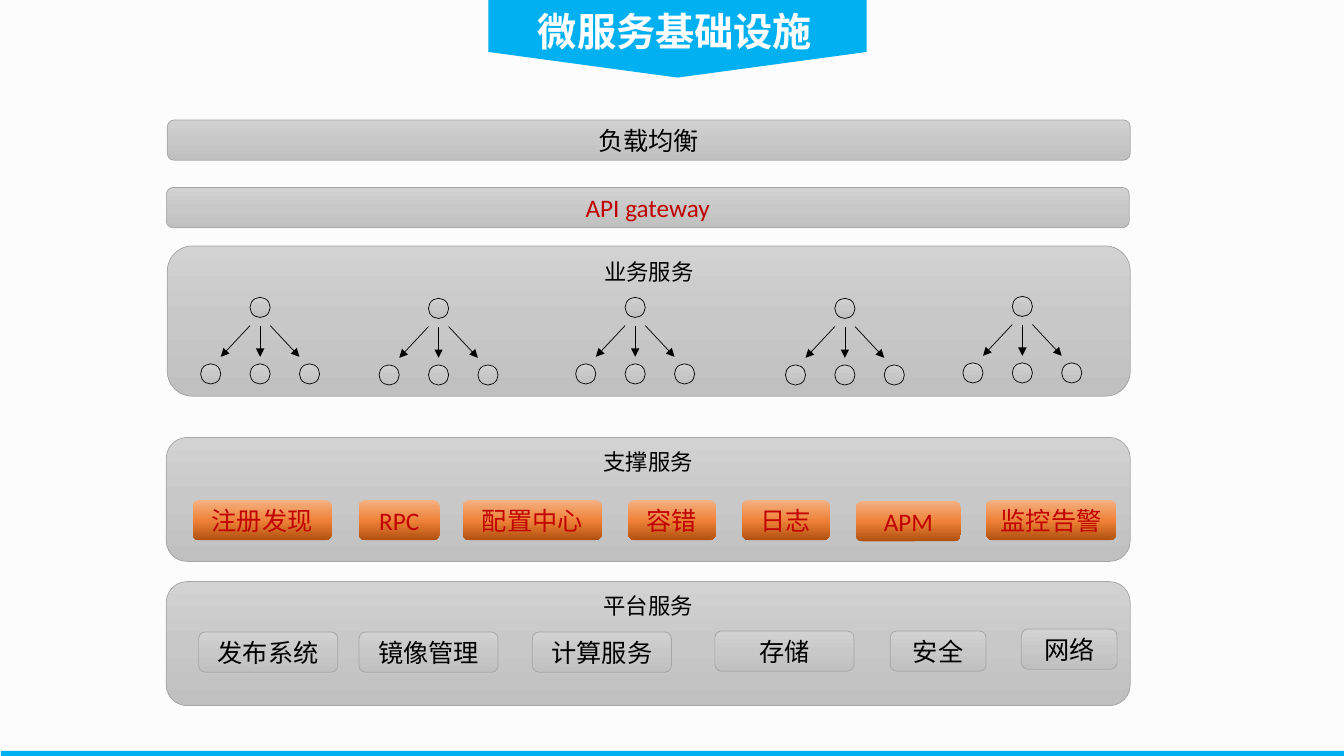
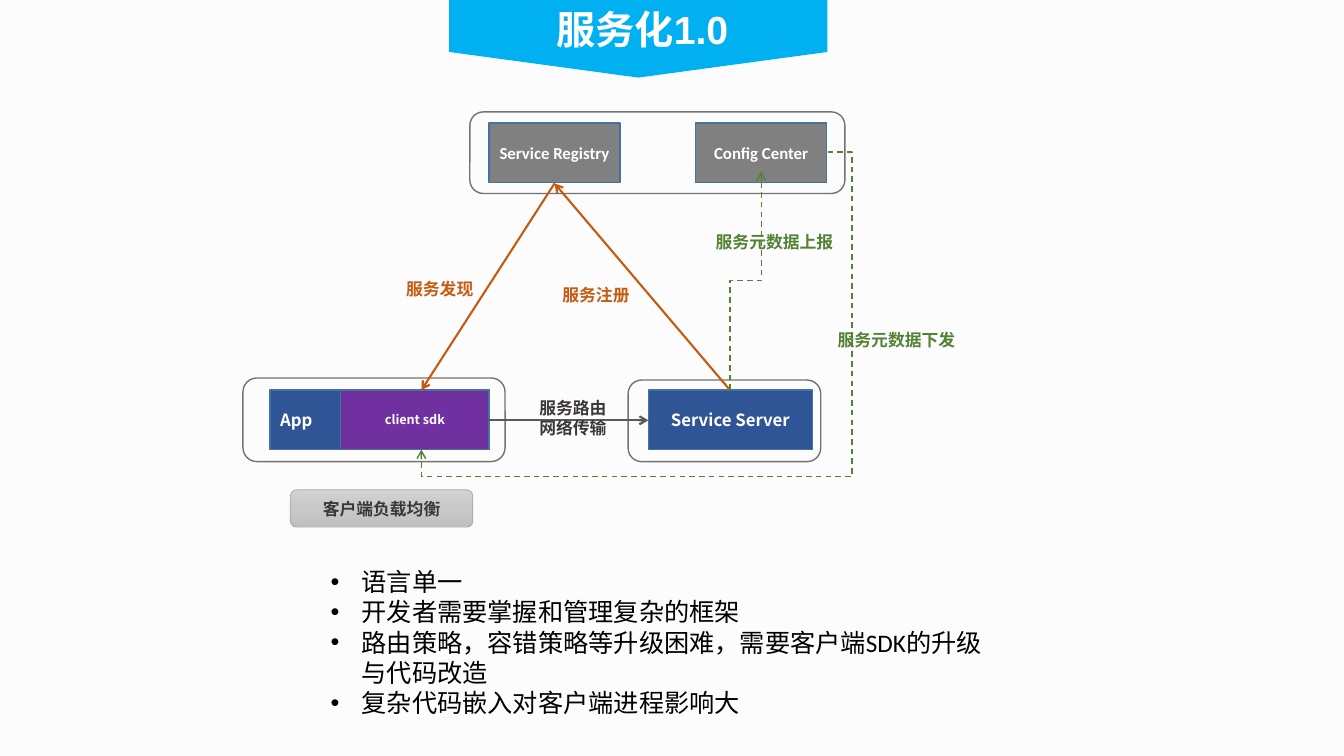
from lxml import etree
from pptx import Presentation
from pptx import util as u
from pptx.dml.color import RGBColor
from pptx.enum import dml, shapes, text
from pptx.oxml.ns import qn

# Shared style
PAPER = RGBColor(0xFC, 0xFC, 0xFC)
WHITE = RGBColor(0xFF, 0xFF, 0xFF)
BLACK = RGBColor(0, 0, 0)
CYAN = RGBColor(0x00, 0xB0, 0xF0)
RED = RGBColor(0xC0, 0, 0)
SILVER = RGBColor(0xA5, 0xA5, 0xA5)
GRAY = RGBColor(0x80, 0x80, 0x80)
FRAME = RGBColor(0x76, 0x71, 0x71)
ROUTE = RGBColor(0x59, 0x59, 0x59)
INK = RGBColor(0x3B, 0x38, 0x38)
NAVY = RGBColor(0x2F, 0x55, 0x97)
EDGE = RGBColor(0x43, 0x73, 0x9E)
PURPLE = RGBColor(0x70, 0x30, 0xA0)
RUST = RGBColor(0xC5, 0x5A, 0x11)
GREEN = RGBColor(0x54, 0x82, 0x35)
SILVER_GRADIENT = [(0, "D2D2D2"), (50, "C8C8C8"), (100, "C0C0C0")]
ORANGE_GRADIENT = [(0, "F4B183"), (52, "EE8137"), (100, "B0500F")]
LATIN, CJK = "Calibri", "Noto Sans CJK SC"

RECT = shapes.MSO_SHAPE.RECTANGLE
ROUND = shapes.MSO_SHAPE.ROUNDED_RECTANGLE
OVAL = shapes.MSO_SHAPE.OVAL
STRAIGHT = shapes.MSO_CONNECTOR.STRAIGHT
ELBOW = shapes.MSO_CONNECTOR.ELBOW
LEFT, CENTER = text.PP_ALIGN.LEFT, text.PP_ALIGN.CENTER
TOP, MIDDLE = text.MSO_ANCHOR.TOP, text.MSO_ANCHOR.MIDDLE

# Slide 1 content: bars and panels are (text, left, top, width, height, colour)
BARS = [("负载均衡", 1.66, 1.19, 9.55, 0.4, BLACK),
        ("API gateway", 1.65, 1.86, 9.55, 0.4, RED)]
PANELS = [("业务服务", 1.66, 2.44, 9.55, 1.49),
          ("支撑服务", 1.65, 4.34, 9.56, 1.23),
          ("平台服务", 1.65, 5.77, 9.56, 1.23)]
# (text, left, top, width)
SUPPORT = [("注册发现", 1.91, 4.96, 1.38), ("RPC", 3.56, 4.96, 0.8),
           ("配置中心", 4.59, 4.96, 1.38), ("容错", 6.23, 4.96, 0.87),
           ("日志", 7.36, 4.96, 0.87), ("APM", 8.49, 4.97, 1.04),
           ("监控告警", 9.78, 4.96, 1.29)]
PLATFORM = [("发布系统", 1.97, 6.27, 1.38), ("镜像管理", 3.56, 6.27, 1.38),
            ("计算服务", 5.28, 6.27, 1.38), ("存储", 7.09, 6.26, 1.38),
            ("安全", 8.83, 6.26, 0.95), ("网络", 10.13, 6.24, 0.95)]
TREE_ROOTS = [(2.48, 2.95), (4.25, 2.96), (6.2, 2.95), (8.28, 2.96), (10.04, 2.94)]
NODE, BRANCH, DROP = 0.2, 0.49, 0.66

# Slide 2 content: (text, left, top, width, height, fill, font, size, align)
NODES = [("App", 2.68, 3.87, 2.17, 0.59, NAVY, CJK, 12, LEFT),
         ("Service Server", 6.43, 3.87, 1.63, 0.59, NAVY, CJK, 12, CENTER),
         ("Service Registry", 4.85, 1.22, 1.3, 0.59, GRAY, LATIN, 12, CENTER),
         ("Config Center", 6.9, 1.22, 1.3, 0.59, GRAY, LATIN, 12, CENTER),
         ("client sdk", 3.38, 3.87, 1.47, 0.59, PURPLE, CJK, 9, CENTER)]
FRAMES = [(2.41, 3.75, 2.6, 0.83), (4.66, 1.11, 3.72, 0.81), (6.23, 3.77, 1.91, 0.81)]
ARROWS = [((4.84, 4.17), (6.43, 4.17), ROUTE),
          ((7.24, 3.87), (5.5, 1.82), RUST),
          ((5.5, 1.82), (4.18, 3.87), RUST)]
LABELS = [(["服务发现"], 3.93, 2.72, 0.88, 0.3, RUST),
          (["服务注册"], 5.48, 2.78, 0.88, 0.3, RUST),
          (["服务元数据下发"], 8.21, 3.22, 1.38, 0.3, GREEN),
          (["服务路由", "网络传输"], 5.25, 3.9, 0.88, 0.5, INK),
          (["服务元数据上报"], 7, 2.25, 1.38, 0.3, GREEN)]
POINTS = ["语言单一", "开发者需要掌握和管理复杂的框架",
          "路由策略，容错策略等升级困难，需要客户端SDK的升级与代码改造",
          "复杂代码嵌入对客户端进程影响大"]


def child(parent, tag, **attrs):
    return etree.SubElement(parent, qn(tag), {k: str(v) for k, v in attrs.items()})


def write(shape, lines, size=18, font=LATIN, color=BLACK, bold=False,
          align=CENTER, anchor=MIDDLE, wrap=True, bullet=False):
    tf = shape.text_frame
    tf.word_wrap, tf.vertical_anchor = wrap, anchor
    for i, line in enumerate(lines):
        p = tf.paragraphs[0] if i == 0 else tf.add_paragraph()
        p.alignment = align
        if bullet:
            pPr = p._p.get_or_add_pPr()
            pPr.set("marL", str(u.Inches(0.31)))
            pPr.set("indent", str(-u.Inches(0.31)))
            child(pPr, "a:buFont", typeface="Arial")
            child(pPr, "a:buChar", char="•")
        r = p.add_run()
        r.text = line
        f = r.font
        f.size, f.name, f.bold = u.Pt(size), font, bold
        f.color.rgb = color
        child(r._r.get_or_add_rPr(), "a:ea", typeface=CJK)
    return tf


def textbox(s, lines, x, y, w, h, **fmt):
    box = s.shapes.add_textbox(*map(u.Inches, (x, y, w, h)))
    tf = write(box, lines, anchor=TOP, **fmt)
    tf.auto_size = text.MSO_AUTO_SIZE.SHAPE_TO_FIT_TEXT
    return tf


def box(s, kind, x, y, w, h, fill=None, line=None, weight=0.5):
    """fill is a colour, a list of gradient stops, or None."""
    sp = s.shapes.add_shape(kind, *map(u.Inches, (x, y, w, h)))
    sp.shadow.inherit = False
    if fill is None:
        sp.fill.background()
    elif isinstance(fill, list):
        sp.fill.gradient()
        grad = sp._element.spPr.find(qn("a:gradFill"))
        stops = grad.find(qn("a:gsLst"))
        for old in list(stops):
            stops.remove(old)
        for pos, rgb in fill:
            child(child(stops, "a:gs", pos=pos * 1000), "a:srgbClr", val=rgb)
        grad.find(qn("a:lin")).set("ang", "5400000")
    else:
        sp.fill.solid()
        sp.fill.fore_color.rgb = fill
    if line is None:
        sp.line.fill.background()
    else:
        sp.line.color.rgb, sp.line.width = line, u.Pt(weight)
    return sp


def arrow(s, start, end, color, weight, head="arrow", kind=STRAIGHT, dashed=False):
    c = s.shapes.add_connector(kind, *map(u.Inches, (*start, *end)))
    c.line.color.rgb, c.line.width = color, u.Pt(weight)
    if dashed:
        c.line.dash_style = dml.MSO_LINE.DASH
    child(c.line._get_or_add_ln(), "a:tailEnd", type=head)
    child(c._element.spPr, "a:effectLst")
    return c


def bend(connector, preset, *adjusts):
    geom = connector._element.spPr.find(qn("a:prstGeom"))
    geom.set("prst", preset)
    av = geom.find(qn("a:avLst"))
    if av is None:
        av = child(geom, "a:avLst")
    for i, value in enumerate(adjusts, 1):
        child(av, "a:gd", name=f"adj{i}", fmla=f"val {round(value * 100000)}")


def vertical_elbow(s, start, end, color, weight):
    """Elbow leaving vertically: an ordinary one turned by 90 degrees."""
    (x1, y1), (x2, y2) = start, end
    cx, cy = (x1 + x2) / 2, (y1 + y2) / 2
    dx, dy = x1 - cx, y1 - cy
    c = arrow(s, (cx + dy, cy - dx), (cx - dy, cy + dx), color, weight,
              kind=ELBOW, dashed=True)
    c._element.spPr.find(qn("a:xfrm")).set("rot", "5400000")


def new_slide(prs, title, banner_center, x, y, w):
    s = prs.slides.add_slide(prs.slide_layouts[6])
    s.background.fill.solid()
    s.background.fill.fore_color.rgb = PAPER
    length, breadth = 0.77, 3.75
    banner = box(s, shapes.MSO_SHAPE.PENTAGON, banner_center - length / 2,
                 length / 2 - breadth / 2, length, breadth, CYAN)
    banner.rotation = 90
    banner.adjustments[0] = 0.33
    tf = textbox(s, [title], x, y, w, 0.57, size=28, font="Arial",
                 color=WHITE, bold=True)
    tf.margin_left = tf.margin_right = 0
    return s


def service_tree(s, x, y):
    group = s.shapes.add_group_shape()
    leaves = [(x + i * BRANCH, y + DROP) for i in (-1, 0, 1)]
    for nx, ny in [(x, y)] + leaves:
        box(group, OVAL, nx, ny, NODE, NODE, SILVER_GRADIENT, BLACK)
    cx = x + NODE / 2
    for i in (-1, 0, 1):
        arrow(group, (cx + i * 0.1, y + 0.28), (cx + i * 0.39, y + 0.59),
              BLACK, 0.5, head="triangle")


def infrastructure(prs):
    s = new_slide(prs, "微服务基础设施", 6.72, 5.19, 0.02, 3.01)
    box(s, RECT, 0.01, 7.45, 13.33, 0.05, CYAN)
    for label, *place, color in BARS:
        write(box(s, ROUND, *place, SILVER_GRADIENT, SILVER), [label], color=color)
    for label, *place in PANELS:
        write(box(s, ROUND, *place, SILVER_GRADIENT, SILVER), [label],
              size=16, anchor=TOP)
    for root in TREE_ROOTS:
        service_tree(s, *root)
    for row, fill, line, color in [(SUPPORT, ORANGE_GRADIENT, None, RED),
                                   (PLATFORM, SILVER_GRADIENT, SILVER, BLACK)]:
        for label, *place in row:
            write(box(s, ROUND, *place, 0.4, fill, line), [label], color=color)


def service_v1(prs):
    s = new_slide(prs, "服务化1.0", 6.33, 4.68, 0, 3.38)
    # Components and their frames
    for label, x, y, w, h, fill, font, size, align in NODES:
        write(box(s, RECT, x, y, w, h, fill, EDGE, 1), [label], size=size,
              font=font, color=WHITE, bold=True, align=align)
    for place in FRAMES:
        box(s, ROUND, *place, line=FRAME, weight=1)
    # Calls and metadata flows
    for start, end, color in ARROWS:
        arrow(s, start, end, color, 1.5)
    down = arrow(s, (8.21, 1.51), (4.18, 4.46), GREEN, 1, kind=ELBOW, dashed=True)
    bend(down, "bentConnector4", -0.06, 1.09)
    vertical_elbow(s, (7.24, 3.87), (7.55, 1.7), GREEN, 1)
    # Labels and notes
    for lines, *place, color in LABELS:
        textbox(s, lines, *place, size=12, font=CJK, color=color, bold=True,
                align=LEFT, wrap=False)
    write(box(s, ROUND, 2.88, 4.86, 1.81, 0.37, SILVER_GRADIENT, SILVER),
          ["客户端负载均衡"], size=12, font=CJK, color=INK, bold=True)
    textbox(s, POINTS, 3.18, 5.57, 6.67, 1.62, align=LEFT, bullet=True)


def main():
    prs = Presentation()
    prs.slide_width, prs.slide_height = u.Inches(13.33), u.Inches(7.5)
    infrastructure(prs)
    service_v1(prs)
    prs.save("out.pptx")


if __name__ == "__main__":
    main()
